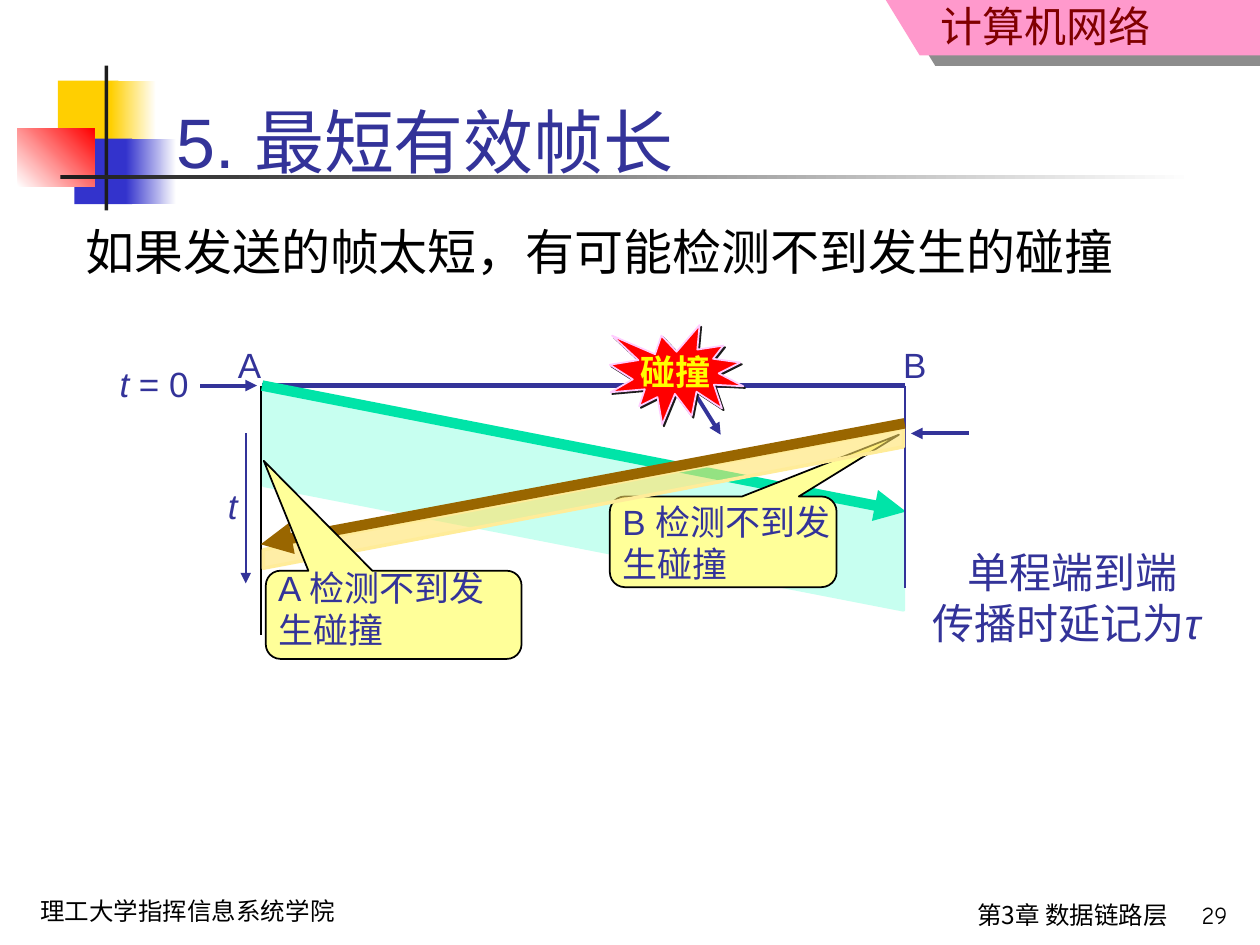
from dataclasses import dataclass

from lxml.etree import SubElement
from pptx import Presentation
from pptx.dml.color import RGBColor
from pptx.enum.shapes import MSO_CONNECTOR, MSO_SHAPE as SHAPE
from pptx.enum.text import MSO_ANCHOR as ANCHOR, PP_ALIGN as ALIGN
from pptx.oxml.ns import qn
from pptx.util import Inches, Pt

BLACK = RGBColor(0, 0, 0)
WHITE = RGBColor(0xFF, 0xFF, 0xFF)
INK = RGBColor(0x33, 0x33, 0x99)
CHARCOAL = RGBColor(0x1C, 0x1C, 0x1C)
GOLD = RGBColor(0xFF, 0xCF, 0x01)
BLUE = RGBColor(0x33, 0x33, 0xCC)
RED = RGBColor(0xFF, 0, 0)
YELLOW = RGBColor(0xFF, 0xFF, 0)
PINK = RGBColor(0xFF, 0x99, 0xCC)
PALE_PINK = RGBColor(0xFF, 0xCC, 0xFF)
MAROON = RGBColor(0x80, 0, 0)
MINT = RGBColor(0xC7, 0xFF, 0xF0)
GREEN = RGBColor(0x00, 0xE4, 0xA8)
SAND = RGBColor(0xFF, 0xE2, 0x67)
SAND_EDGE = RGBColor(0xFF, 0xEC, 0x99)
BROWN = RGBColor(0x99, 0x66, 0)
NOTE = RGBColor(0xFF, 0xFF, 0x99)
CJK = "Noto Sans CJK SC"


@dataclass
class Box:
    left: float
    top: float
    width: float
    height: float

    def inner(self, x, y, width, height):
        return Box(self.left + x, self.top + y, width, height)

    def point(self, x, y):
        return Inches(self.left + x), Inches(self.top + y)

    def emu(self):
        return [Inches(v) for v in (self.left, self.top, self.width, self.height)]


def write(frame, text, font="Arial", size=20, color=INK, bold=False, align=ALIGN.LEFT,
          anchor=ANCHOR.TOP, wrap=True, margin_top=0.05):
    """Fill a text frame; text is a string or a list of lines of (words, italic)."""
    lines = [[(text, False)]] if isinstance(text, str) else text
    frame.word_wrap = wrap
    frame.vertical_anchor = anchor
    frame.margin_left = frame.margin_right = Inches(0.1)
    frame.margin_top, frame.margin_bottom = Inches(margin_top), Inches(0.05)
    for number, line_runs in enumerate(lines):
        paragraph = frame.add_paragraph() if number else frame.paragraphs[0]
        paragraph.alignment = align
        paragraph.space_before = Pt(0)
        for words, italic in line_runs:
            run = paragraph.add_run()
            run.text = words
            run.font.name, run.font.size = font, Pt(size)
            run.font.bold, run.font.italic = bold, italic
            run.font.color.rgb = color
            SubElement(run.font._element, qn("a:ea"), typeface=CJK)


def label(slide, box, text, **style):
    write(slide.shapes.add_textbox(*box.emu()).text_frame, text, **style)


def paint(shape, fill, edge=None, width=1):
    shape.shadow.inherit = False
    shape.fill.solid()
    shape.fill.fore_color.rgb = fill
    if edge is None:
        shape.line.fill.background()
    else:
        shape.line.color.rgb = edge
        shape.line.width = Pt(width)


def preset(slide, kind, box, fill, edge=None, width=1, adjust=()):
    shape = slide.shapes.add_shape(kind, *box.emu())
    for index, value in enumerate(adjust):
        shape.adjustments[index] = value
    paint(shape, fill, edge, width)
    return shape


def fade(shape, start, end, angle=0):
    shape.fill.gradient()
    shape.fill.gradient_angle = angle
    for stop, color in zip(shape.fill.gradient_stops, (start, end)):
        stop.color.rgb = color


def cast_shadow(shape, distance, degrees, alpha):
    effects = shape._element.spPr.find(qn("a:effectLst"))
    shadow = SubElement(effects, qn("a:outerShdw"), dist=str(Pt(distance)),
                        dir=str(degrees * 60000), algn="ctr", rotWithShape="0")
    color = SubElement(shadow, qn("a:srgbClr"), val=str(CHARCOAL))
    SubElement(color, qn("a:alpha"), val=str(alpha * 1000))


def line(slide, start, end, color=INK, width=1, arrow=False):
    connector = slide.shapes.add_connector(MSO_CONNECTOR.STRAIGHT, *start, *end)
    connector.line.color.rgb = color
    connector.line.width = Pt(width)
    if arrow:
        SubElement(connector.line._get_or_add_ln(), qn("a:tailEnd"), type="triangle")
    SubElement(connector._element.spPr, qn("a:effectLst"))


def draw_emblem(slide, box):
    # Coloured squares, each fading out to the right
    for x, y, solid, overlap, total, color in ((0.32, 0.12, 0.48, 0.06, 0.78, GOLD),
                                               (0.45, 0.58, 0.46, 0.05, 0.81, BLUE)):
        preset(slide, SHAPE.RECTANGLE, box.inner(x, y, solid, 0.52), color)
        faded = box.inner(x + solid - overlap, y, total - solid + overlap, 0.52)
        fade(preset(slide, SHAPE.RECTANGLE, faded, color), color, WHITE)
    red_square = preset(slide, SHAPE.RECTANGLE, box.inner(0, 0.5, 0.61, 0.46), RED)
    fade(red_square, WHITE, RED, angle=45)
    # Crossing rules
    preset(slide, SHAPE.RECTANGLE, box.inner(0.69, 0, 0.03, box.height), CHARCOAL)
    rule = preset(slide, SHAPE.RECTANGLE, box.inner(0.34, 0.87, 9, 0.03), CHARCOAL)
    fade(rule, CHARCOAL, WHITE)


def draw_course_tab(slide, box):
    right = box.width
    outline = slide.shapes.build_freeform(*box.point(0, 0), scale=1.0)
    outline.add_line_segments([box.point(0.27, box.height), box.point(right, box.height),
                               box.point(right, 0)])
    tab = outline.convert_to_shape()
    paint(tab, PINK)
    cast_shadow(tab, 10.8, 34, 50)
    label(slide, box.inner(-1.33, 0, 3.53, 0.45), "计算机网络", font=CJK, size=24,
          color=MAROON, align=ALIGN.RIGHT, margin_top=0)


def draw_title(slide, box):
    title = slide.shapes.title
    title.left, title.top, title.width, title.height = box.emu()
    write(title.text_frame, "5. 最短有效帧长", size=40, anchor=ANCHOR.BOTTOM)
    # Bring the title in front of the rule
    title.element.getparent().append(title.element)


def draw_band(slide, box, fill, edge, skew):
    """Slanted band: a parallelogram turned on its side to fill the box."""
    upright = box.inner((box.width - box.height) / 2, (box.height - box.width) / 2,
                        box.height, box.width)
    band = preset(slide, SHAPE.PARALLELOGRAM, upright, fill, edge, 2, [skew])
    band.rotation = 270
    return band


def draw_callout(slide, box, pointer, text, text_box):
    preset(slide, SHAPE.ROUNDED_RECTANGULAR_CALLOUT, box, NOTE, BLACK,
           adjust=[*pointer, 0.167])
    label(slide, text_box, text)


def draw_collision(slide, box):
    line(slide, box.point(0.68, 0.55), box.point(0.88, 0.87), width=2.25, arrow=True)
    burst = preset(slide, SHAPE.EXPLOSION1, box, RED, PALE_PINK)
    cast_shadow(burst, 1.4, 45, 100)
    write(burst.text_frame, "碰撞", color=YELLOW, bold=True, align=ALIGN.CENTER,
          anchor=ANCHOR.MIDDLE, wrap=False)


def draw_timing(slide, box):
    at, right = box.point, box.width
    # Frame from A, medium and time lines
    draw_band(slide, box.inner(0.01, 0.02, 5.08, 1.76), MINT, MINT, 0.562)
    line(slide, at(0, 0), at(right, 0), width=3)
    line(slide, at(-0.01, 0), at(-0.01, 1.98), color=BLACK)
    line(slide, at(0, 0), at(right + 0.01, 1), color=GREEN, width=6, arrow=True)
    for station, x in (("A", -0.29), ("B", 4.99)):
        label(slide, box.inner(x, -0.38, 0.38, 0.43), station, wrap=False)
    line(slide, at(-0.13, 0.38), at(-0.13, 1.57), arrow=True)
    label(slide, box.inner(-0.37, 0.74, 0.28, 0.43), [[("t", True)]], wrap=False)
    line(slide, at(right, 0), at(right, 1.61))
    draw_collision(slide, box.inner(2.76, -0.48, 1.06, 0.79))
    # B misses the collision
    draw_callout(slide, box.inner(2.76, 0.88, 1.8, 0.72), (0.775, -1.181),
                 "B 检测不到发生碰撞", box.inner(2.76, 0.86, 1.95, 0.77))
    line(slide, at(5.61, 0.38), at(5.15, 0.38), width=2.25, arrow=True)
    # Start time and delay
    label(slide, box.inner(-1.23, -0.23, 0.75, 0.44), [[("t", True), (" = 0", False)]],
          wrap=False)
    line(slide, at(-0.49, 0), at(-0.04, 0), width=2.25, arrow=True)
    label(slide, box.inner(5.22, 1.23, 2.42, 0.9),
          [[("单程端到端", False)], [("传播时延记为", False), ("τ ", True)]],
          size=24, align=ALIGN.CENTER, wrap=False)
    # Frame from B, see-through
    band = draw_band(slide, box.inner(0.01, 0.34, 5.08, 1.11), SAND, SAND_EDGE, 0.868)
    band._element.spPr.find(qn("a:xfrm")).set("flipV", "1")
    color = band._element.spPr.find(qn("a:solidFill"))[0]
    SubElement(color, qn("a:alpha"), val="58000")
    line(slide, at(right, 0.3), at(-0.01, 1.26), color=BROWN, width=6, arrow=True)
    # A misses the collision
    draw_callout(slide, box.inner(0.03, 1.47, 2.03, 0.7), (-0.508, -1.746),
                 "A 检测不到发生碰撞", box.inner(0.03, 1.39, 1.95, 0.77))


def draw_footer(slide, box):
    footer = {"size": 14, "color": BLACK}
    label(slide, box.inner(0, 0, 3.11, 0.34), "理工大学指挥信息系统学院",
          font="Comic Neue", **footer)
    label(slide, box.inner(4.07, 0.03, 5.08, 0.41), "第3章 数据链路层", font=CJK,
          align=ALIGN.RIGHT, **footer)
    label(slide, box.inner(8.83, 0.03, 0.79, 0.38), "29", font="Comic Neue",
          align=ALIGN.RIGHT, **footer)


def main():
    deck = Presentation()
    deck.slide_width, deck.slide_height = Inches(10), Inches(7.5)
    slide = deck.slides.add_slide(deck.slide_layouts[5])
    draw_emblem(slide, Box(0.14, 0.52, 1.26, 1.15))
    draw_course_tab(slide, Box(7.03, 0, 2.97, 0.44))
    draw_title(slide, Box(1.3, 0.25, 8.32, 1.25))
    label(slide, Box(0.58, 1.71, 9.07, 0.7),
          "如果发送的帧太短，有可能检测不到发生的碰撞", size=28, color=BLACK)
    draw_timing(slide, Box(2.08, 3.06, 5.1, 2))
    draw_footer(slide, Box(0.22, 7.06, 9.62, 0.44))
    deck.save("out.pptx")


if __name__ == "__main__":
    main()
